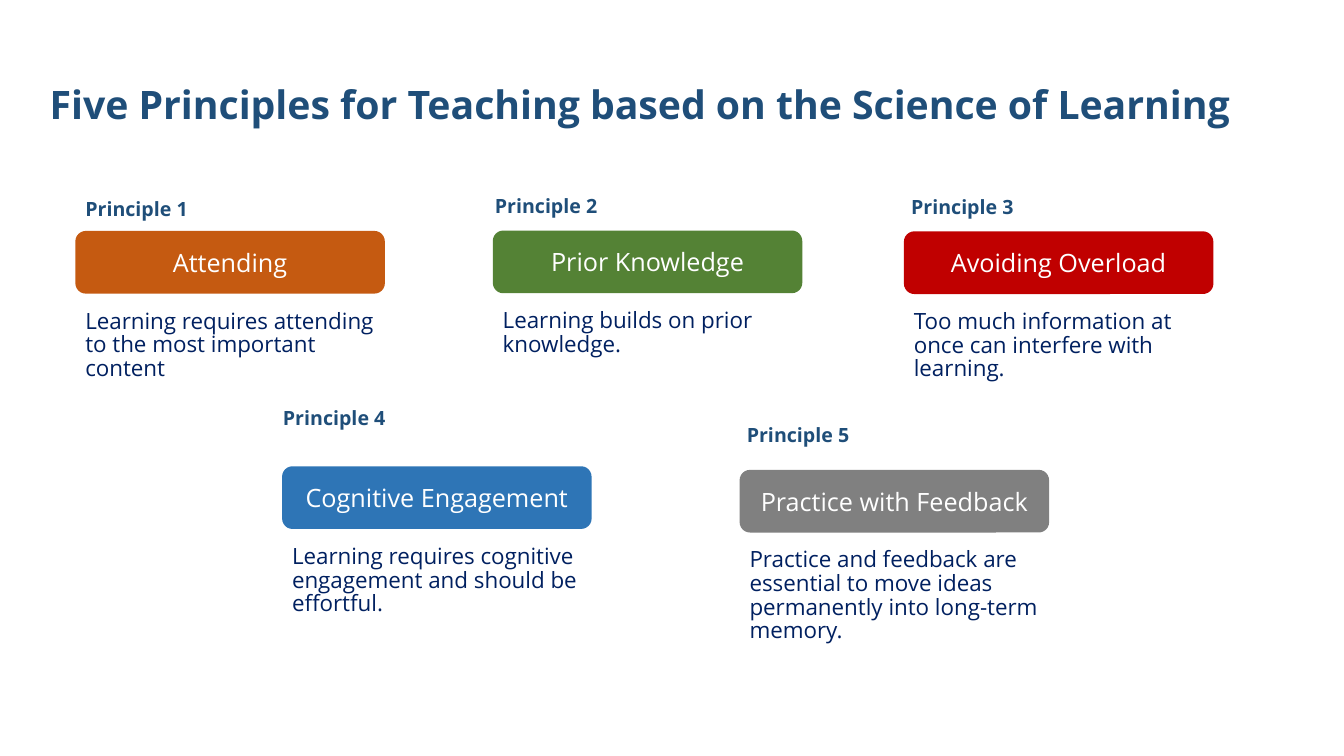
from dataclasses import dataclass

from pptx import Presentation
from pptx.dml.color import RGBColor
from pptx.enum.shapes import MSO_SHAPE
from pptx.enum.text import MSO_ANCHOR as Anchor, PP_ALIGN as Align
from pptx.slide import Slide
from pptx.text.text import TextFrame
from pptx.util import Cm, Pt


@dataclass(frozen=True)
class TextStyle:
    size: float
    color: str
    bold: bool = False
    align: Align = Align.LEFT
    anchor: Anchor = Anchor.TOP
    line_spacing: float = 1.0


@dataclass(frozen=True)
class Theme:
    font: str = "Open Sans"
    title: TextStyle = TextStyle(28, "1F4E79", bold=True)
    label: TextStyle = TextStyle(14, "1F4E79", bold=True)
    banner: TextStyle = TextStyle(18, "FFFFFF", align=Align.CENTER, anchor=Anchor.MIDDLE)
    body: TextStyle = TextStyle(16, "002060", line_spacing=0.88)
    orange: str = "C55A11"
    green: str = "548235"
    red: str = "C00000"
    blue: str = "2E75B6"
    gray: str = "808080"


@dataclass(frozen=True)
class Box:
    left: float
    top: float
    width: float
    height: float

    def lengths(self) -> tuple[Cm, Cm, Cm, Cm]:
        return Cm(self.left), Cm(self.top), Cm(self.width), Cm(self.height)


@dataclass(frozen=True)
class Principle:
    name: str
    color: str
    left: float
    top: float
    label_left: float
    label_top: float
    body: str
    body_height: float


THEME = Theme()
BANNER_WIDTH, BANNER_HEIGHT = 7.8, 1.58
LABEL_WIDTH, LABEL_HEIGHT = 5.33, 1.8
BODY_WIDTH, BODY_OFFSET = 8.33, 1.87
TITLE = "Five Principles for Teaching based on the Science of Learning"
PRINCIPLES = (
    Principle("Attending", THEME.orange, 1.9, 5.82, 1.9, 4.83,
              "Learning requires attending to the most important content", 2.13),
    Principle("Prior Knowledge", THEME.green, 12.42, 5.81, 12.22, 4.75,
              "Learning builds on prior knowledge.", 1.63),
    Principle("Avoiding Overload", THEME.red, 22.78, 5.83, 22.71, 4.78,
              "Too much information at once can interfere with learning.", 1.63),
    Principle("Cognitive Engagement", THEME.blue, 7.11, 11.75, 6.88, 10.11,
              "Learning requires cognitive engagement and should be effortful.", 2.31),
    Principle("Practice with Feedback", THEME.gray, 18.64, 11.84, 18.57, 10.52,
              "Practice and feedback are essential to move ideas permanently "
              "into long-term memory.", 3.0),
)


def write_text(frame: TextFrame, text: str, style: TextStyle) -> None:
    frame.word_wrap = True
    frame.vertical_anchor = style.anchor
    paragraph = frame.paragraphs[0]
    paragraph.alignment = style.align
    paragraph.line_spacing = style.line_spacing
    run = paragraph.add_run()
    run.text = text
    run.font.name = THEME.font
    run.font.size = Pt(style.size)
    run.font.bold = style.bold
    run.font.color.rgb = RGBColor.from_string(style.color)


def add_text(slide: Slide, box: Box, text: str, style: TextStyle) -> None:
    shape = slide.shapes.add_textbox(*box.lengths())
    write_text(shape.text_frame, text, style)


def add_banner(slide: Slide, box: Box, text: str, color: str) -> None:
    shape = slide.shapes.add_shape(MSO_SHAPE.ROUNDED_RECTANGLE, *box.lengths())
    shape.shadow.inherit = False
    shape.fill.solid()
    shape.fill.fore_color.rgb = RGBColor.from_string(color)
    shape.line.fill.background()
    write_text(shape.text_frame, text, THEME.banner)


def add_principle(slide: Slide, number: int, principle: Principle) -> None:
    banner = Box(principle.left, principle.top, BANNER_WIDTH, BANNER_HEIGHT)
    label = Box(principle.label_left, principle.label_top, LABEL_WIDTH, LABEL_HEIGHT)
    body = Box(principle.left, principle.top + BODY_OFFSET, BODY_WIDTH, principle.body_height)
    add_banner(slide, banner, principle.name, principle.color)
    add_text(slide, label, f"Principle {number}", THEME.label)
    add_text(slide, body, principle.body, THEME.body)


def main() -> None:
    """Build the slide of five teaching principles and save it."""
    presentation = Presentation()
    presentation.slide_width, presentation.slide_height = Cm(33.87), Cm(19.05)
    slide = presentation.slides.add_slide(presentation.slide_layouts[6])
    add_text(slide, Box(1, 1.9, 33.17, 3.18), TITLE, THEME.title)
    for number, principle in enumerate(PRINCIPLES, start=1):
        add_principle(slide, number, principle)
    presentation.save("out.pptx")


if __name__ == "__main__":
    main()
